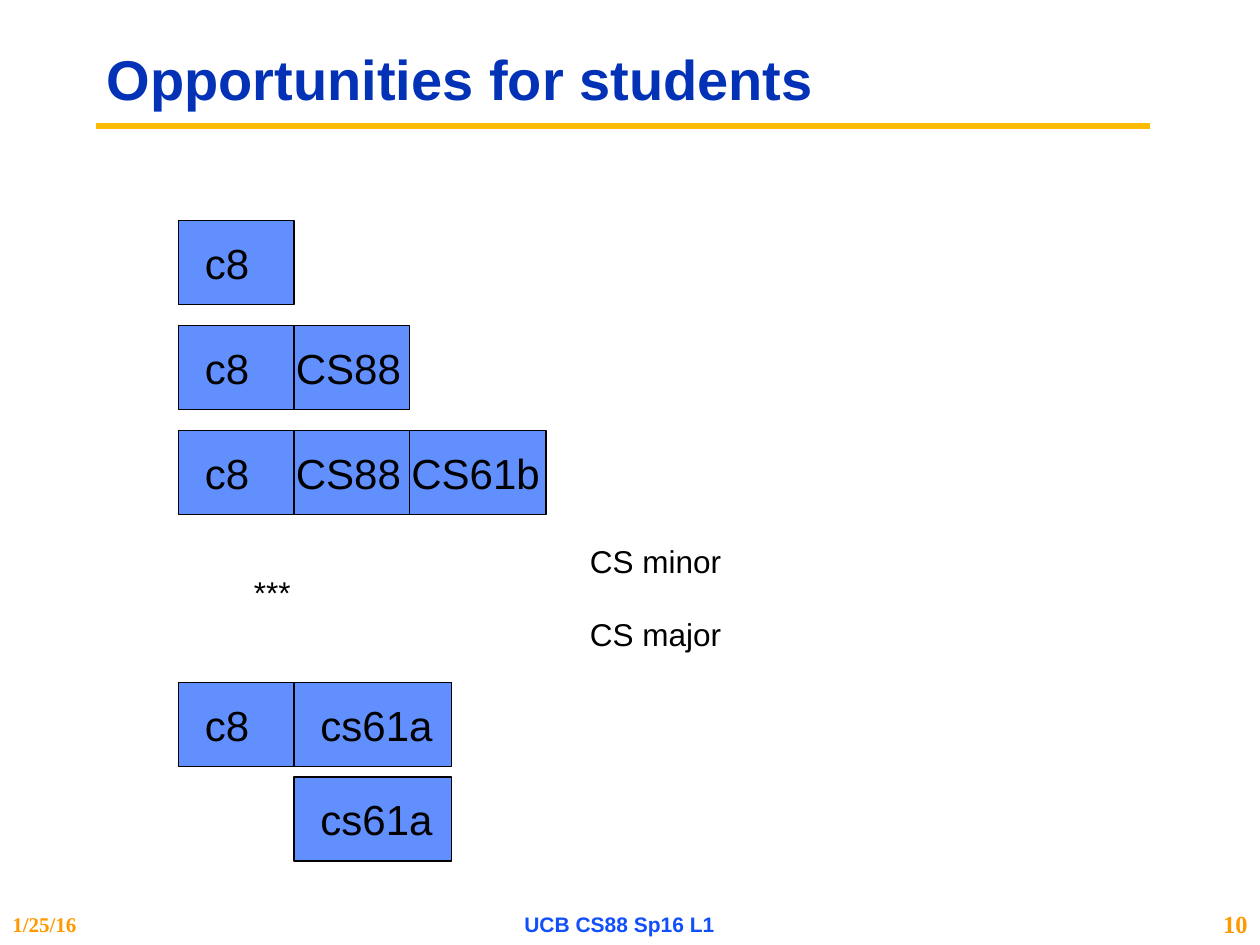
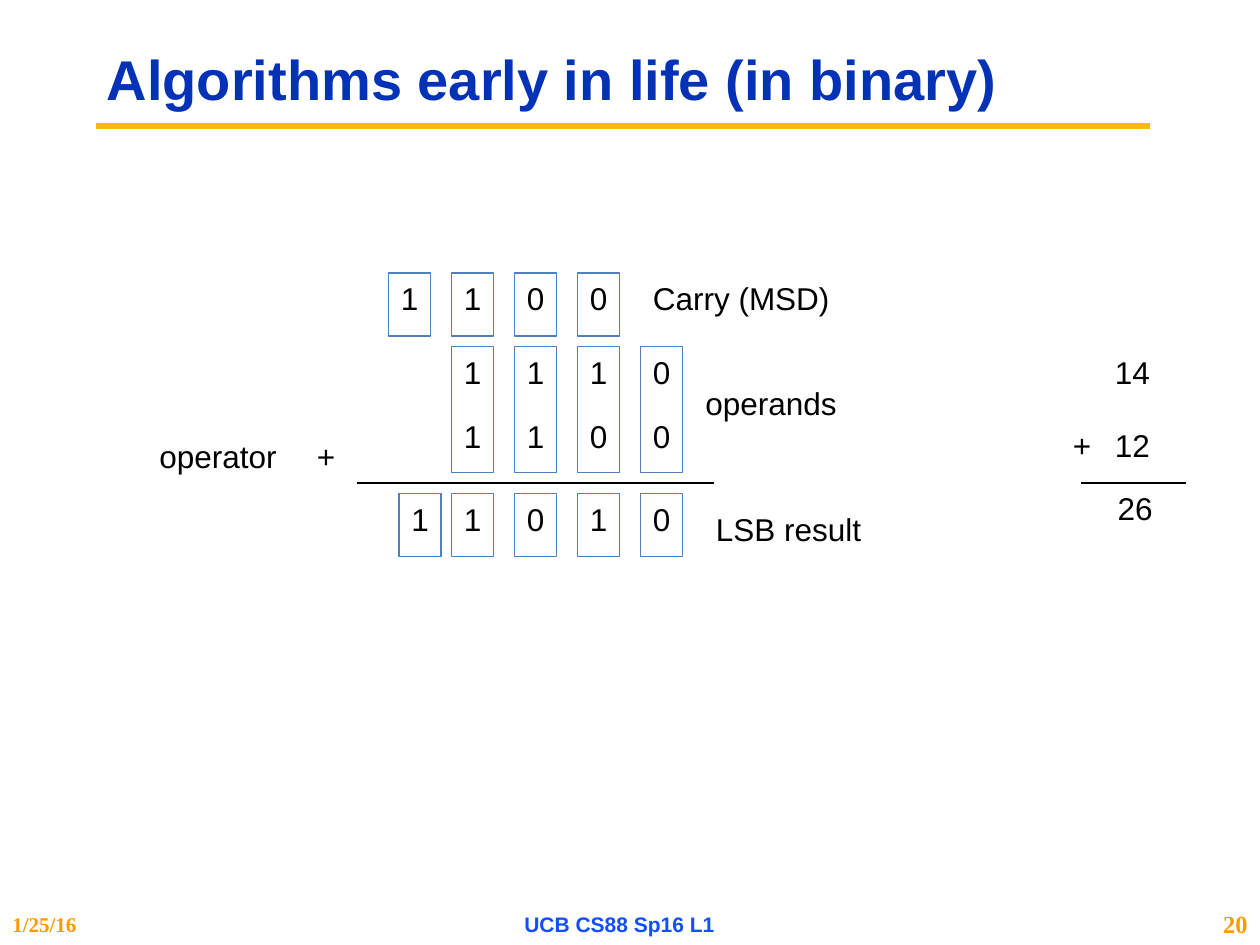
from lxml import etree
from pptx import Presentation
from pptx.dml.color import RGBColor
from pptx.enum.shapes import MSO_CONNECTOR, MSO_SHAPE
from pptx.enum.text import MSO_ANCHOR, MSO_AUTO_SIZE, PP_ALIGN
from pptx.oxml.ns import qn
from pptx.util import Pt

COLORS = {
    "title": "0332B7", "rule": "FBBA03", "footer": "114FFB", "date": "FF9900",
    "course": "618FFD", "digit": "4F81BD", "ink": "000000",
}
SANS, SERIF = "Arial", "Times New Roman"


class Deck:
    """House style plus the slide being built."""

    def __init__(self):
        self.prs = Presentation()
        self.prs.slide_width, self.prs.slide_height = Pt(720), Pt(540)
        self.s = None

    def color(self, name):
        return RGBColor.from_string(COLORS[name])

    def slide(self, title, number):
        self.s = self.prs.slides.add_slide(self.prs.slide_layouts[6])
        self.line(54.7, 657.4, 72, "rule", 3.75)
        self.text(title, 54, 18, 606, 58, 32, "title", bold=True, spacing=0.9)
        # Footer
        self.text("1/25/16", 0, 516, 120, 24, 12, "date", SERIF, True)
        self.text("UCB CS88 Sp16 L1", 240, 516, 228, 24, 12, "footer",
                  bold=True, align=PP_ALIGN.CENTER)
        self.text(str(number), 678, 516, 42, 24, 14, "date", SERIF, True,
                  PP_ALIGN.RIGHT)

    def text(self, words, x, y, w, h, size, color, font=SANS, bold=False,
             align=PP_ALIGN.LEFT, spacing=None):
        sp = self.s.shapes.add_textbox(Pt(x), Pt(y), Pt(w), Pt(h))
        tf = sp.text_frame
        tf.word_wrap = True
        tf.vertical_anchor = MSO_ANCHOR.MIDDLE
        p = tf.paragraphs[0]
        p.alignment = align
        if spacing:
            p.line_spacing = spacing
        r = p.add_run()
        r.text = words
        r.font.name, r.font.size, r.font.bold = font, Pt(size), bold
        r.font.color.rgb = self.color(color)
        return tf

    def label(self, words, x, y, w, size=18):
        """Black text in a box that fits its words."""
        h = 36 if size == 24 else 29
        tf = self.text(words, x, y, w, h, size, "ink")
        tf.vertical_anchor = MSO_ANCHOR.TOP
        tf.word_wrap = False
        tf.auto_size = MSO_AUTO_SIZE.SHAPE_TO_FIT_TEXT

    def box(self, x, y, w, h, line, fill=None):
        sp = self.s.shapes.add_shape(MSO_SHAPE.RECTANGLE, Pt(x), Pt(y), Pt(w), Pt(h))
        sp.shadow.inherit = False
        if fill:
            sp.fill.solid()
            sp.fill.fore_color.rgb = self.color(fill)
        else:
            sp.fill.background()
        sp.line.color.rgb = self.color(line)
        sp.line.width = Pt(1)

    def line(self, x1, x2, y, color="ink", width=1):
        sp = self.s.shapes.add_connector(MSO_CONNECTOR.STRAIGHT,
                                         Pt(x1), Pt(y), Pt(x2), Pt(y))
        sp.line.color.rgb = self.color(color)
        sp.line.width = Pt(width)
        etree.SubElement(sp._element.spPr, qn("a:effectLst"))


def opportunities(deck):
    deck.slide("Opportunities for students", 10)
    # Course: tile width, label offset, label width
    tiles = {"c8": (66, 8, 40), "CS88": (66, -6, 75),
             "CS61b": (78, -6, 88.5), "cs61a": (90, 8, 79)}
    # Course paths: left, top, courses in order
    paths = [
        (102, 126, ["c8"]),
        (102, 186, ["c8", "CS88"]),
        (102, 246, ["c8", "CS88", "CS61b"]),
        (102, 390, ["c8", "cs61a"]),
        (168, 444, ["cs61a"]),
    ]
    for x, y, courses in paths:
        for course in courses:
            width, offset, label_width = tiles[course]
            deck.box(x, y, width, 48, "ink", "course")
            deck.label(course, x + offset, y + 6, label_width, 24)
            x += width
    # Remarks
    deck.label("***", 138, 324, 36)
    deck.label("CS minor", 330, 306, 90)
    deck.label("CS major", 330, 348, 90)


def binary_addition(deck):
    deck.slide("Algorithms early in life (in binary)", 20)
    left, step, digit_width = 258, 36, 24
    carry_y, first_y, second_y, result_y = 156, 198, 234.7, 282

    # Digit frames, one column per bit
    for i in range(4):
        x = left + i * step
        deck.box(x - step, carry_y, digit_width, 36, "digit")
        deck.box(x, first_y, digit_width, 72, "digit")
        deck.box(x, result_y, digit_width, 36, "digit")
    overflow_x = 228
    deck.box(overflow_x, result_y, digit_width, 36, "digit")
    deck.label("1", overflow_x, result_y, 24.5)

    # Digits
    rows = [("1100", left - step, carry_y), ("1110", left, first_y),
            ("1100", left, second_y), ("1010", left, result_y)]
    for digits, x, y in rows:
        for i, digit in enumerate(digits):
            deck.label(digit, x + i * step, y, 24.5)
    deck.line(204, 408, 276)

    # Names of the parts
    deck.label("Carry (MSD)", 366, 156, 116.5)
    deck.label("operands", 396, 216, 90)
    deck.label("operator", 84, 246, 82)
    deck.label("+", 174, 246, 26)
    deck.label("LSB result", 402, 288, 98.5)

    # Decimal check
    deck.label("14", 630, 198, 34.5)
    deck.label("+", 606, 240, 26)
    deck.label("12", 630, 240, 34.5)
    deck.line(618, 678, 276)
    deck.label("26", 631.5, 276, 34.5)


def main():
    deck = Deck()
    opportunities(deck)
    binary_addition(deck)
    deck.prs.save("out.pptx")


if __name__ == "__main__":
    main()
